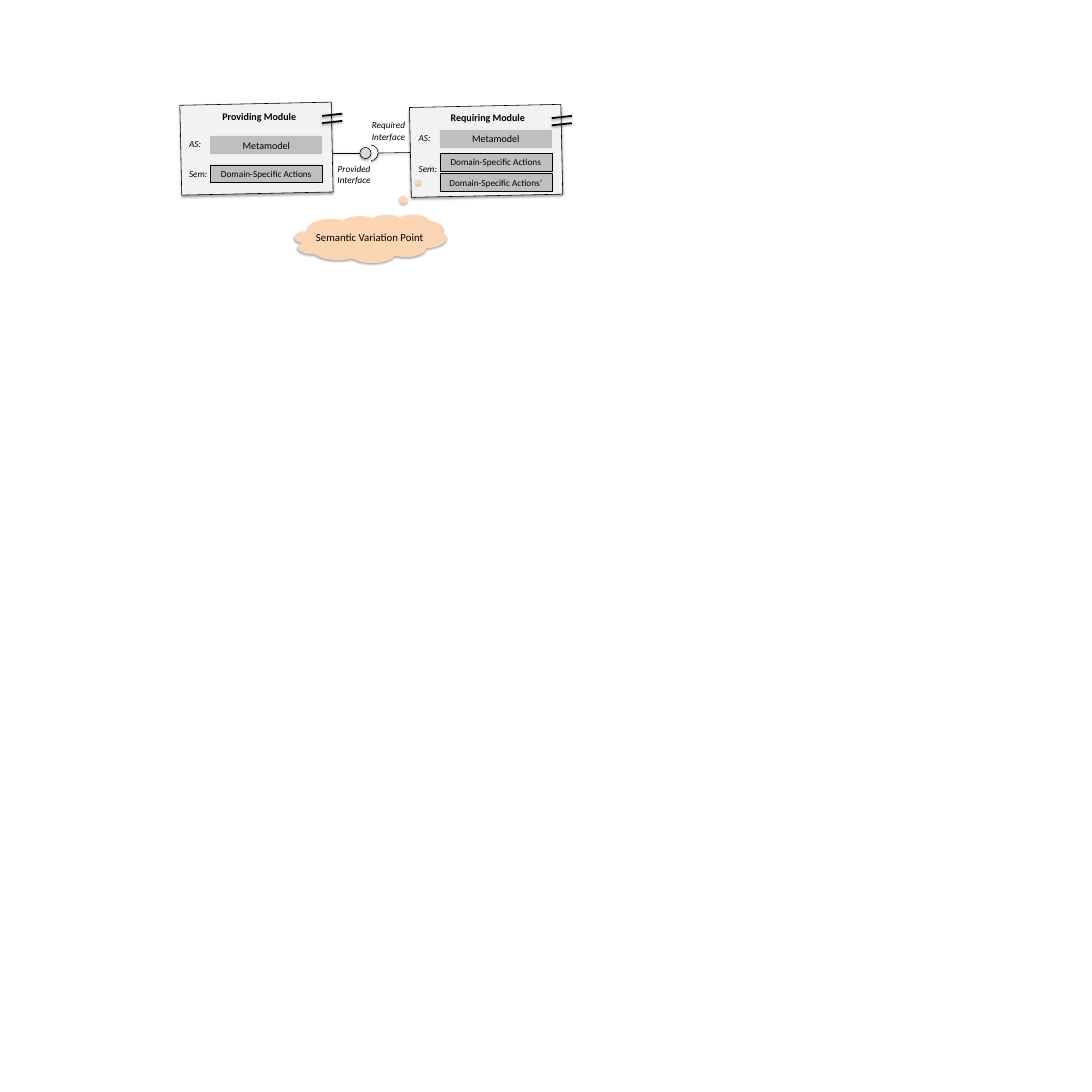
"""Build a slide of two language modules joined by an interface, with a semantic variation point."""
from dataclasses import dataclass

from lxml.etree import SubElement
from pptx import Presentation
from pptx.dml.color import RGBColor
from pptx.enum.dml import MSO_LINE
from pptx.enum.shapes import MSO_CONNECTOR, MSO_SHAPE
from pptx.enum.text import MSO_ANCHOR, MSO_AUTO_SIZE, PP_ALIGN
from pptx.oxml.ns import qn
from pptx.util import Inches, Pt

RECTANGLE, ROUNDED = MSO_SHAPE.RECTANGLE, MSO_SHAPE.ROUNDED_RECTANGLE
OVAL, CLOUD = MSO_SHAPE.OVAL, MSO_SHAPE.CLOUD_CALLOUT
STRAIGHT, DOTTED = MSO_CONNECTOR.STRAIGHT, MSO_LINE.ROUND_DOT
LEFT, CENTER = PP_ALIGN.LEFT, PP_ALIGN.CENTER
TOP, MIDDLE = MSO_ANCHOR.TOP, MSO_ANCHOR.MIDDLE
GROW = MSO_AUTO_SIZE.SHAPE_TO_FIT_TEXT


@dataclass(frozen=True)
class Theme:
    font: str = "Calibri"
    ink: RGBColor = RGBColor(0, 0, 0)
    paper: RGBColor = RGBColor(255, 255, 255)
    panel: RGBColor = RGBColor.from_string("F2F2F2")
    element: RGBColor = RGBColor.from_string("BFBFBF")
    ball: RGBColor = RGBColor.from_string("D9D9D9")
    cloud: RGBColor = RGBColor.from_string("FCD5B5")
    label: int = 12
    heading: int = 13
    callout: int = 14
    hairline: float = 0.25
    outline: float = 0.75
    stroke: float = 2.25


theme = Theme()
deck = Presentation()
deck.slide_width = deck.slide_height = Inches(19.69)
page = deck.slides.add_slide(deck.slide_layouts[6])


def cast_shadow(item, opacity, distance):
    effects = SubElement(item._element.spPr, qn("a:effectLst"))
    shadow = SubElement(effects, qn("a:outerShdw"), blurRad=str(Pt(3.1)), dist=str(Pt(distance)),
                        dir="5400000", rotWithShape="0")
    color = SubElement(shadow, qn("a:srgbClr"), val=str(theme.ink))
    SubElement(color, qn("a:alpha"), val=str(opacity * 1000))


def draw(text, place, kind=None, fill=None, line=0, dash=None, shadow=False, turn=0, adjust=(),
         size=theme.label, bold=False, italic=False, align=CENTER):
    place = [Inches(length) for length in place]
    if kind is None:
        box = page.shapes.add_textbox(*place)
    else:
        box = page.shapes.add_shape(kind, *place)
        box.rotation = turn
        for index, value in enumerate(adjust):
            box.adjustments[index] = value
        box.fill.solid()
        box.fill.fore_color.rgb = fill
        if line:
            box.line.color.rgb = theme.ink
            box.line.width = Pt(line)
            if dash:
                box.line.dash_style = dash
        else:
            box.line.fill.background()
        if shadow:
            cast_shadow(box, 35, 1.8)
        else:
            box.shadow.inherit = False
    if not text:
        return
    frame = box.text_frame
    frame.word_wrap = True
    frame.vertical_anchor = MIDDLE if kind else TOP
    if kind is None:
        frame.auto_size = GROW
    for index, words in enumerate(text.split("\n")):
        para = frame.add_paragraph() if index else frame.paragraphs[0]
        para.alignment = align
        span = para.add_run()
        span.text = words
        span.font.name = theme.font
        span.font.size = Pt(size)
        span.font.bold = bold
        span.font.italic = italic
        span.font.color.rgb = theme.ink


actions = "Domain-Specific Actions"
modules = [
    ("Providing Module", 3.26, 1.87, 3.82, 1.95, 2.45, 2.98, [(actions, 2.97)]),
    ("Requiring Module", 7.4, 1.91, 7.94, 1.96, 2.34, 2.9,
     [(actions, 2.76), (actions + "\u2019", 3.13)]),
]
lines = [
    (7.39, 2.75, 6.82, 2.76, theme.outline),
    (6, 2.76, 6.49, 2.76, theme.outline),
]
for title, left, top, title_left, title_top, syntax_top, semantics_top, action_rows in modules:
    draw("", (left, top, 2.73, 1.62), RECTANGLE, theme.panel, theme.outline, shadow=True, turn=-1.2)
    draw(title, (title_left, title_top, 1.71, 0.32), size=theme.heading, bold=True)
    for label, label_top in [("AS:", syntax_top - 0.01), ("Sem:", semantics_top)]:
        draw(label, (left + 0.05, label_top, 0.62, 0.3), italic=True, align=LEFT)
    draw("Metamodel", (left + 0.53, syntax_top, 2.02, 0.33), ROUNDED, theme.element,
         adjust=(0,), size=theme.heading)
    for action, action_top in action_rows:
        draw(action, (left + 0.53, action_top, 2.02, 0.32), ROUNDED, theme.element,
             theme.hairline, DOTTED, adjust=(0,))
    for drop in (0.35, 0.22):
        lines.append((left + 2.55, top + drop, left + 2.91, top + drop - 0.04, theme.stroke))

draw("", (5.31, 3.87, 2.74, 0.87), CLOUD, theme.cloud, shadow=True, adjust=(0.4, -1.49))
draw("Semantic Variation Point", (5.44, 4.12, 2.45, 0.34), size=theme.callout)

draw("", (6.52, 2.61, 0.3, 0.29), OVAL, theme.paper, theme.outline, shadow=True)
draw("", (6.45, 2.56, 0.24, 0.45), RECTANGLE, theme.paper)
draw("", (6.49, 2.66, 0.2, 0.2), OVAL, theme.ball, theme.outline, shadow=True)

for *ends, width in lines:
    connector = page.shapes.add_connector(STRAIGHT, *[Inches(length) for length in ends])
    connector.line.color.rgb = theme.ink
    connector.line.width = Pt(width)
    cast_shadow(connector, 38, 1.6)

for words, left, top in [("Provided\nInterface", 5.82, 2.89), ("Required\nInterface", 6.44, 2.11)]:
    draw(words, (left, top, 1.13, 0.5), italic=True)

deck.save("out.pptx")
